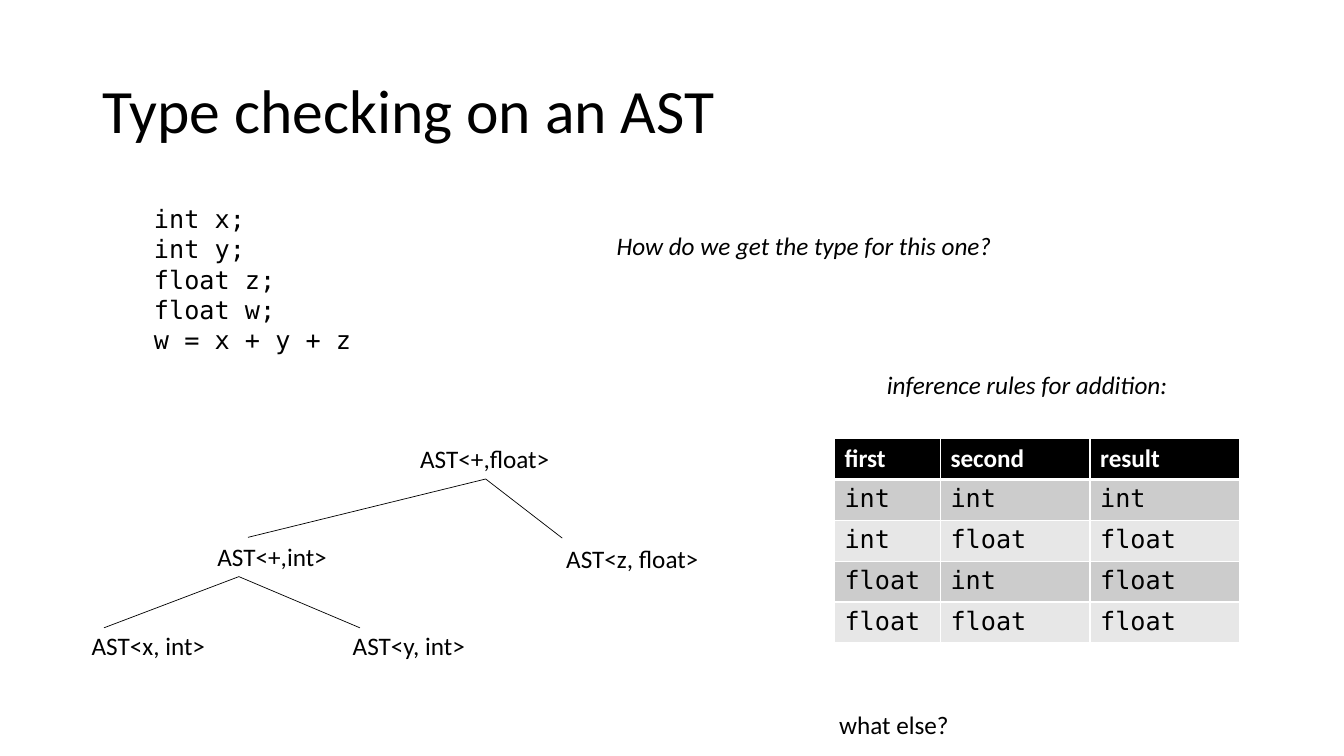
from dataclasses import dataclass

from lxml.etree import SubElement
from pptx import Presentation
from pptx.dml.color import RGBColor
from pptx.enum.text import MSO_ANCHOR, MSO_AUTO_SIZE
from pptx.enum.shapes import MSO_CONNECTOR
from pptx.oxml import parse_xml
from pptx.oxml.ns import nsdecls, qn
from pptx.slide import Slide
from pptx.table import _Cell as Cell
from pptx.text.text import TextFrame
from pptx.util import Cm, Pt


@dataclass(frozen=True)
class Theme:
    body_font: str = "Calibri"
    code_font: str = "DejaVu Sans Mono"
    title_size: int = 44
    body_size: int = 18
    black: str = "000000"
    white: str = "FFFFFF"
    bands: tuple[str, str] = ("CCCCCC", "E7E7E7")
    branch_width: float = 0.5
    border_width: int = 1
    header_rule_width: int = 3


THEME = Theme()


@dataclass(frozen=True)
class Label:
    """A text box; left, top, width and height are in centimetres."""
    text: str
    left: float
    top: float
    width: float
    height: float = 1.02
    font: str = THEME.body_font
    size: int = THEME.body_size
    italic: bool = False
    is_title: bool = False


@dataclass(frozen=True)
class Fork:
    """Two branches from a parent node, as (x, y) points in centimetres."""
    parent: tuple[float, float]
    children: tuple[tuple[float, float], ...]


CODE = "int x;\nint y;\nfloat z;\nfloat w;\vw = x + y + z"

LABELS = (
    Label("Type checking on an AST", 2.33, 1.02, 29.21, 3.68,
          size=THEME.title_size, is_title=True),
    Label(CODE, 3.63, 5, 5.49, 4.11, font=THEME.code_font),
    Label("AST<+,float>", 10.34, 11.05, 3.81),
    Label("AST<+,int>", 5.23, 13.51, 3.3),
    Label("AST<z, float>", 14.02, 13.56, 3.89),
    Label("AST<x, int>", 2.06, 15.75, 3.4),
    Label("AST<y, int>", 8.64, 15.75, 3.38),
    Label("How do we get the type for this one?", 15.29, 5.69, 10.08, italic=True),
    Label("inference rules for addition:", 22.1, 9.19, 7.67, italic=True),
    Label("what else?", 20.9, 17.75, 3.3),
)

FORKS = (
    Fork((12.24, 12.07), ((6.25, 13.54), (14.17, 13.56))),
    Fork((6.02, 14.53), ((2.62, 15.82), (9.07, 15.82))),
)

INFERENCE_RULES = (
    ("first", "second", "result"),
    ("int", "int", "int"),
    ("int", "float", "float"),
    ("float", "int", "float"),
    ("float", "float", "float"),
)
RULES_LEFT, RULES_TOP = 21.03, 11.05
COLUMN_WIDTHS = (2.67, 3.77, 3.77)
ROW_HEIGHT = 1.03


def format_text(frame: TextFrame, font: str, size: int, color: str,
                bold: bool = False, italic: bool = False) -> None:
    for paragraph in frame.paragraphs:
        for run in paragraph.runs:
            run.font.name = font
            run.font.size = Pt(size)
            run.font.bold = bold
            run.font.italic = italic
            run.font.color.rgb = RGBColor.from_string(color)


def add_label(slide: Slide, label: Label) -> None:
    box = slide.shapes.add_textbox(
        Cm(label.left), Cm(label.top), Cm(label.width), Cm(label.height))
    frame = box.text_frame
    frame.text = label.text
    frame.word_wrap = label.is_title
    if label.is_title:
        frame.auto_size = MSO_AUTO_SIZE.NONE
        frame.vertical_anchor = MSO_ANCHOR.MIDDLE
        frame.paragraphs[0].line_spacing = 0.9
    else:
        frame.auto_size = MSO_AUTO_SIZE.SHAPE_TO_FIT_TEXT
    format_text(frame, label.font, label.size, THEME.black, italic=label.italic)


def add_fork(slide: Slide, fork: Fork) -> None:
    for child in fork.children:
        branch = slide.shapes.add_connector(
            MSO_CONNECTOR.STRAIGHT, *map(Cm, fork.parent), *map(Cm, child))
        branch.line.color.rgb = RGBColor.from_string(THEME.black)
        branch.line.width = Pt(THEME.branch_width)
        SubElement(branch._element.spPr, qn("a:effectLst"))


def set_borders(cell: Cell, top: int, bottom: int) -> None:
    """Draw white borders; they must precede the fill in the cell properties."""
    properties = cell._tc.get_or_add_tcPr()
    widths = {"lnL": THEME.border_width, "lnR": THEME.border_width,
              "lnT": top, "lnB": bottom}
    for position, (tag, width) in enumerate(widths.items()):
        properties.insert(position, parse_xml(
            f'<a:{tag} {nsdecls("a")} w="{Pt(width)}"><a:solidFill>'
            f'<a:srgbClr val="{THEME.white}"/></a:solidFill></a:{tag}>'))


def add_inference_table(slide: Slide) -> None:
    table = slide.shapes.add_table(
        len(INFERENCE_RULES), len(COLUMN_WIDTHS), Cm(RULES_LEFT), Cm(RULES_TOP),
        Cm(sum(COLUMN_WIDTHS)), Cm(ROW_HEIGHT * len(INFERENCE_RULES))).table
    for column, width in zip(table.columns, COLUMN_WIDTHS):
        column.width = Cm(width)
    for row_index, values in enumerate(INFERENCE_RULES):
        table.rows[row_index].height = Cm(ROW_HEIGHT)
        is_header = row_index == 0
        fill = THEME.black if is_header else THEME.bands[(row_index - 1) % 2]
        font = THEME.body_font if is_header else THEME.code_font
        color = THEME.white if is_header else THEME.black
        top = THEME.header_rule_width if row_index == 1 else THEME.border_width
        bottom = THEME.header_rule_width if is_header else THEME.border_width
        for column_index, value in enumerate(values):
            cell = table.cell(row_index, column_index)
            cell.text_frame.text = value
            format_text(cell.text_frame, font, THEME.body_size, color, bold=is_header)
            cell.fill.solid()
            cell.fill.fore_color.rgb = RGBColor.from_string(fill)
            set_borders(cell, top, bottom)


def main() -> None:
    presentation = Presentation()
    presentation.slide_width = Cm(33.87)
    presentation.slide_height = Cm(19.05)
    slide = presentation.slides.add_slide(presentation.slide_layouts[6])
    for label in LABELS:
        add_label(slide, label)
    for fork in FORKS:
        add_fork(slide, fork)
    add_inference_table(slide)
    presentation.save("out.pptx")


if __name__ == "__main__":
    main()
